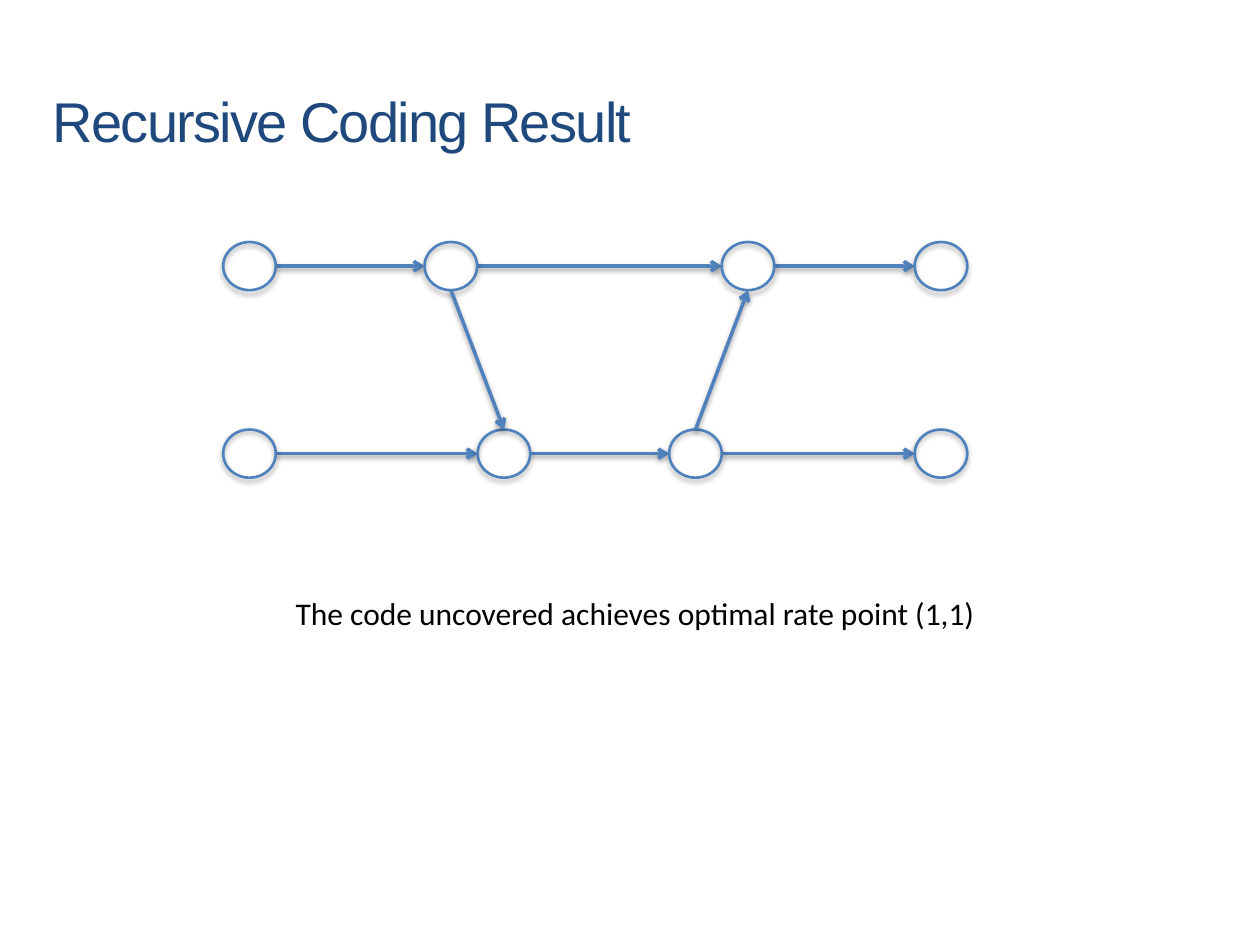
from lxml import etree
from pptx import Presentation
from pptx.dml.color import RGBColor
from pptx.enum.shapes import MSO_CONNECTOR, MSO_SHAPE
from pptx.enum.text import MSO_ANCHOR, MSO_AUTO_SIZE, PP_ALIGN
from pptx.oxml import parse_xml
from pptx.oxml.ns import nsdecls, qn
from pptx.util import Cm, Pt

OVAL, STRAIGHT = MSO_SHAPE.OVAL, MSO_CONNECTOR.STRAIGHT
MIDDLE, LEFT = MSO_ANCHOR.MIDDLE, PP_ALIGN.LEFT
NO_FIT, GROW = MSO_AUTO_SIZE.NONE, MSO_AUTO_SIZE.SHAPE_TO_FIT_TEXT
BLUE = RGBColor(0x4F, 0x81, 0xBD)
NAVY = RGBColor(0x1F, 0x49, 0x7D)
BLACK = RGBColor(0, 0, 0)

# Content: each row of the network has its top and the left of every node (cm)
HEADING = "Recursive Coding Result"
CONCLUSION = "The code uncovered achieves optimal rate point (1,1)"
ROWS = [
    (4.88, [4.5, 8.56, 14.55, 18.44]),
    (8.66, [4.5, 9.63, 13.49, 18.44]),
]
CROSS_LINKS = [((0, 1), (1, 1)), ((1, 2), (0, 2))]  # (row, column) pairs
NODE_WIDTH, NODE_HEIGHT = 1.06, 0.97


def add_shadow(shape, opacity, distance):
    """Soft shadow straight below; distance in points."""
    shape._element.spPr.append(parse_xml(
        f'<a:effectLst {nsdecls("a")}>'
        f'<a:outerShdw blurRad="{Pt(3.1)}" dist="{Pt(distance)}" dir="5400000" rotWithShape="0">'
        f'<a:srgbClr val="000000"><a:alpha val="{opacity * 1000}"/></a:srgbClr>'
        '</a:outerShdw></a:effectLst>'))


def add_arrow(shapes, start, end):
    arrow = shapes.add_connector(STRAIGHT, *map(Cm, start + end))
    arrow.line.color.rgb = BLUE
    arrow.line.width = Pt(2)
    etree.SubElement(arrow.line._get_or_add_ln(), qn("a:tailEnd"), type="arrow")
    add_shadow(arrow, 38, 1.6)


def add_node(shapes, left, top):
    node = shapes.add_shape(OVAL, Cm(left), Cm(top), Cm(NODE_WIDTH), Cm(NODE_HEIGHT))
    node.fill.background()
    node.line.color.rgb = BLUE
    node.line.width = Pt(1.5)
    add_shadow(node, 35, 1.8)


def set_font(paragraph, name, size, color):
    paragraph.font.name = name
    paragraph.font.size = Pt(size)
    paragraph.font.color.rgb = color


def main():
    prs = Presentation()
    prs.slide_width, prs.slide_height = Cm(25.4), Cm(19.05)
    slide = prs.slides.add_slide(prs.slide_layouts[5])
    shapes = slide.shapes

    # Heading
    heading = shapes.title
    heading.left, heading.top = Cm(0.81), Cm(1.24)
    heading.width, heading.height = Cm(23.93), Cm(2.36)
    heading.text_frame.text = HEADING
    heading.text_frame.vertical_anchor = MIDDLE
    heading.text_frame.auto_size = NO_FIT
    heading_line = heading.text_frame.paragraphs[0]
    heading_line.alignment = LEFT
    set_font(heading_line, "Arial", 32, NAVY)
    heading_line.runs[0].font._element.set("spc", "-100")

    # Nodes and the arrows along each row
    for top, lefts in ROWS:
        middle = top + NODE_HEIGHT / 2
        for left, following in zip(lefts, lefts[1:]):
            add_arrow(shapes, (left + NODE_WIDTH, middle), (following, middle))
        for left in lefts:
            add_node(shapes, left, top)

    # Arrows between the rows: bottom of an upper node, top of a lower one
    def facing_point(row, column):
        top, lefts = ROWS[row]
        return lefts[column] + NODE_WIDTH / 2, top if row else top + NODE_HEIGHT

    for source, target in CROSS_LINKS:
        add_arrow(shapes, facing_point(*source), facing_point(*target))

    # Conclusion
    conclusion = shapes.add_textbox(Cm(5.71), Cm(11.86), Cm(14.48), Cm(1.02))
    conclusion.text_frame.text = CONCLUSION
    conclusion.text_frame.word_wrap = False
    conclusion.text_frame.auto_size = GROW
    set_font(conclusion.text_frame.paragraphs[0], "Calibri", 18, BLACK)

    prs.save("out.pptx")


if __name__ == "__main__":
    main()
